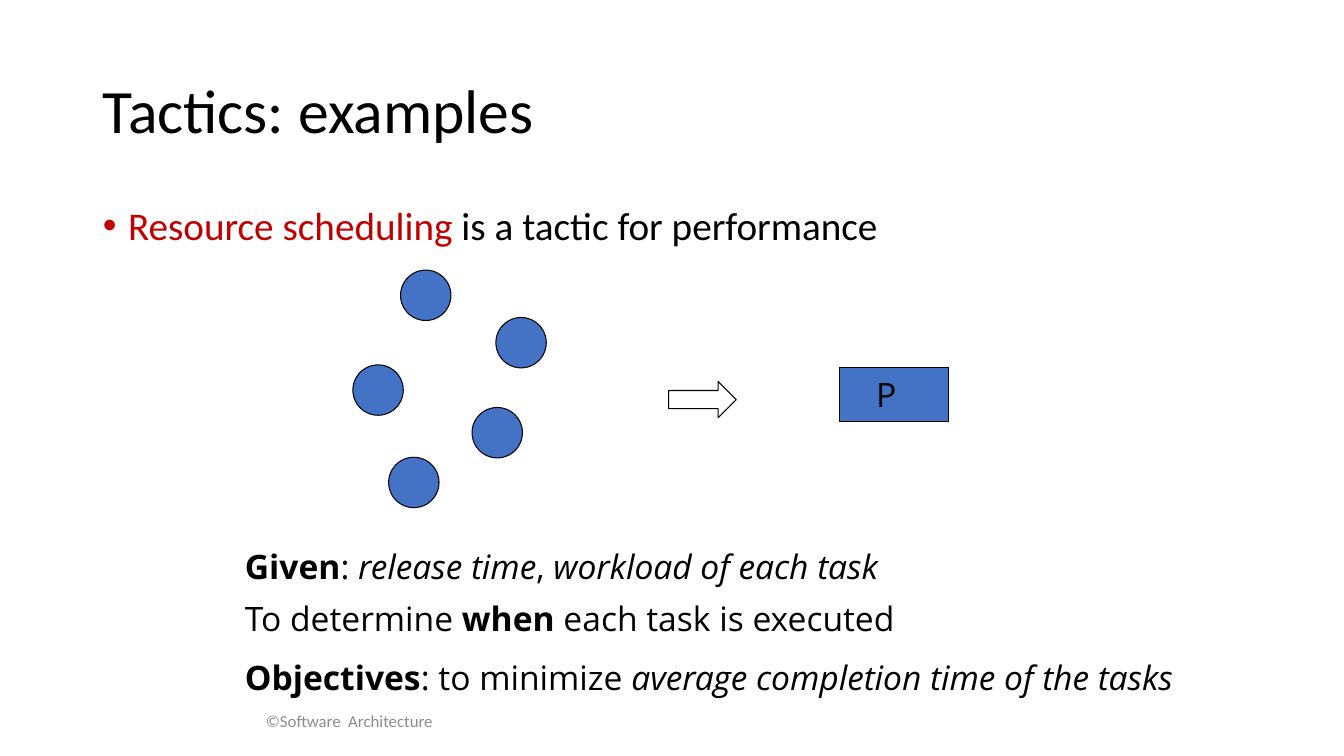
from dataclasses import dataclass

from pptx import Presentation
from pptx.dml.color import RGBColor as Rgb
from pptx.enum.shapes import MSO_SHAPE as Kind
from pptx.enum.text import MSO_ANCHOR as Anchor, MSO_AUTO_SIZE as Fit, PP_ALIGN as Align
from pptx.oxml import parse_xml
from pptx.oxml.ns import nsdecls
from pptx.util import Inches, Pt


@dataclass(frozen=True)
class Theme:
    ink: Rgb = Rgb(0, 0, 0)
    red: Rgb = Rgb(0xC0, 0, 0)
    blue: Rgb = Rgb(0x44, 0x72, 0xC4)
    gray: Rgb = Rgb(0x8C, 0x8C, 0x8C)
    head: str = "Calibri"
    note: str = "Open Sans"
    title: int = 44
    body: int = 28
    text: int = 24
    foot: int = 12
    line: float = 0.75


T = Theme()
WIDE, HIGH = 13.33, 7.5


def place(box):
    return [Inches(n) for n in box]


def move(shape, box):
    shape.left, shape.top, shape.width, shape.height = place(box)


def write(par, runs, font, size):
    """Add runs given as (words, style, color); style holds b and/or i."""
    for words, style, color in runs:
        run = par.add_run()
        run.text = words
        face = run.font
        face.name, face.size = font, Pt(size)
        face.bold, face.italic = "b" in style, "i" in style
        face.color.rgb = color


def label(slide, box, runs, font, size):
    frame = slide.shapes.add_textbox(*place(box)).text_frame
    frame.word_wrap = True
    write(frame.paragraphs[0], runs, font, size)
    return frame


def draw(slide, kind, box, fill=None):
    shape = slide.shapes.add_shape(kind, *place(box))
    shape.shadow.inherit = False
    if fill is None:
        shape.fill.background()
    else:
        shape.fill.solid()
        shape.fill.fore_color.rgb = fill
    shape.line.color.rgb = T.ink
    shape.line.width = Pt(T.line)
    return shape


def add_title(slide, box):
    move(slide.shapes.title, box)
    frame = slide.shapes.title.text_frame
    frame.auto_size, frame.vertical_anchor = Fit.NONE, Anchor.MIDDLE
    par = frame.paragraphs[0]
    par.alignment, par.line_spacing = Align.LEFT, 0.9
    write(par, [("Tactics: examples", "", T.ink)], T.head, T.title)


def add_body(slide, box):
    body = slide.placeholders[1]
    move(body, box)
    body.text_frame.auto_size = Fit.NONE
    par = body.text_frame.paragraphs[0]
    par.line_spacing, par.space_before = 0.9, Pt(10)
    write(par, [("Resource scheduling ", "", T.red),
                ("is a tactic for performance", "", T.ink)], T.head, T.body)
    # Hanging bullet
    props = par._p.get_or_add_pPr()
    props.set("marL", str(Inches(0.25)))
    props.set("indent", str(-Inches(0.25)))
    for xml in ('<a:buFont %s typeface="Arial"/>', '<a:buChar %s char="•"/>'):
        props.append(parse_xml(xml % nsdecls("a")))


def add_flow(slide, box):
    left, top, wide, high = box
    # Waiting tasks, as shares of the box
    size = 0.5
    tasks = [(0.08, 0), (0, 0.4), (0.06, 0.79), (0.24, 0.2), (0.2, 0.58)]
    for x, y in tasks:
        draw(slide, Kind.OVAL, (left + x * wide, top + y * high, size, size), T.blue)
    # Arrow to the processor
    draw(slide, Kind.RIGHT_ARROW, (left + 0.53 * wide, top + 0.47 * high, 0.67, 0.36))
    # Processor
    wide_p = 1.08
    cpu = draw(slide, Kind.RECTANGLE,
               (left + wide - wide_p, top + 0.41 * high, wide_p, 0.54), T.blue)
    frame = cpu.text_frame
    frame.vertical_anchor, frame.margin_left = Anchor.MIDDLE, Inches(0.36)
    frame.paragraphs[0].alignment = Align.LEFT
    write(frame.paragraphs[0], [("P", "", T.ink)], T.note, T.text)


def add_notes(slide, box):
    left, top, wide, high = box
    rows = [
        (0, [("Given", "b"), (": ", ""), ("release time", "i"), (", ", ""),
             ("workload of each task", "i")]),
        (0.32, [("To determine ", ""), ("when", "b"), (" each task is executed", "")]),
        (0.69, [("Objectives", "b"), (": to minimize ", ""),
                ("average completion time of the tasks", "i")]),
    ]
    for y, runs in rows:
        label(slide, (left, top + y * high, wide, 0.5),
              [(*run, T.ink) for run in runs], T.note, T.text)


def add_foot(slide, box):
    frame = label(slide, box, [("©Software  Architecture", "", T.gray)], T.head, T.foot)
    frame.vertical_anchor = Anchor.MIDDLE
    frame.paragraphs[0].alignment = Align.CENTER


deck = Presentation()
deck.slide_width, deck.slide_height = Inches(WIDE), Inches(HIGH)
page = deck.slides.add_slide(deck.slide_layouts[1])
edge = 0.92
add_title(page, (edge, 0.4, WIDE - 2 * edge, 1.45))
add_body(page, (edge, 2, WIDE - 2 * edge, 4.76))
add_foot(page, (0, 6.95, 0.52 * WIDE, 0.4))
add_flow(page, (3.5, 2.68, 5.91, 2.35))
add_notes(page, (2.33, 5.37, 10.08, 1.59))
deck.save("out.pptx")
